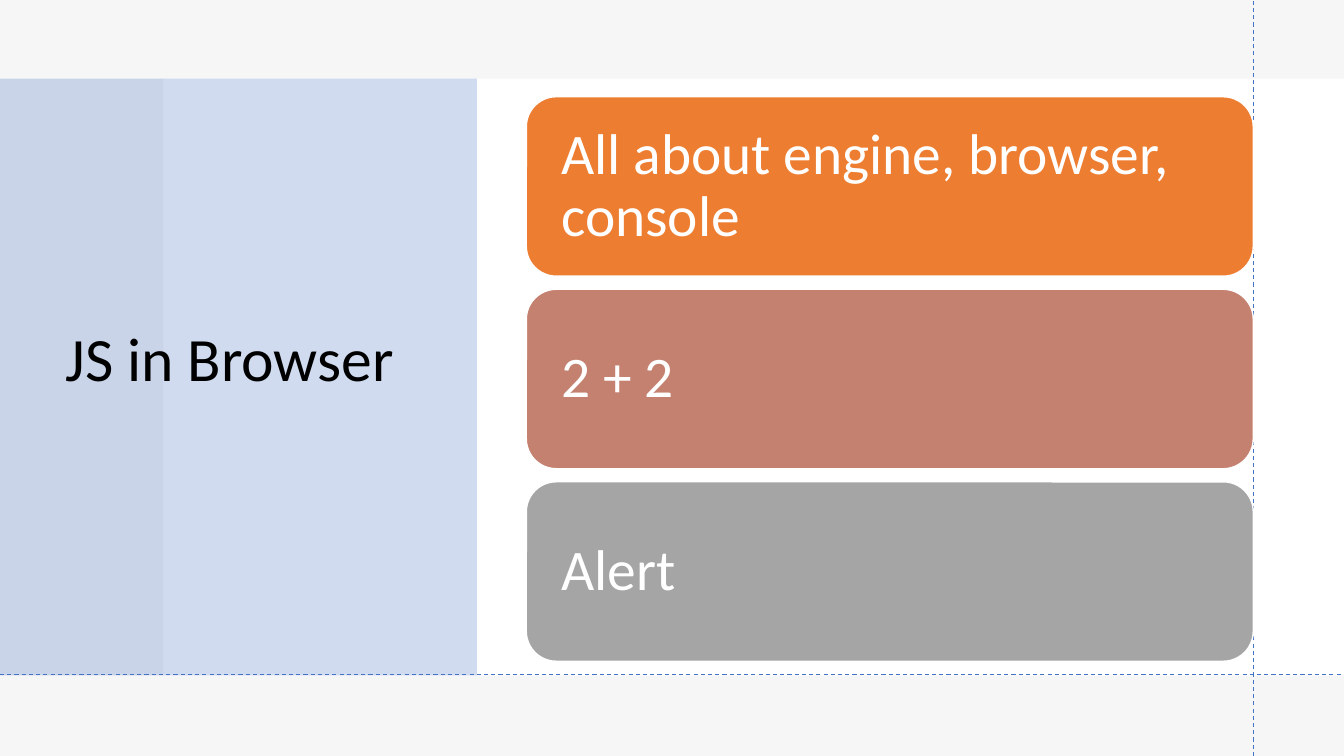
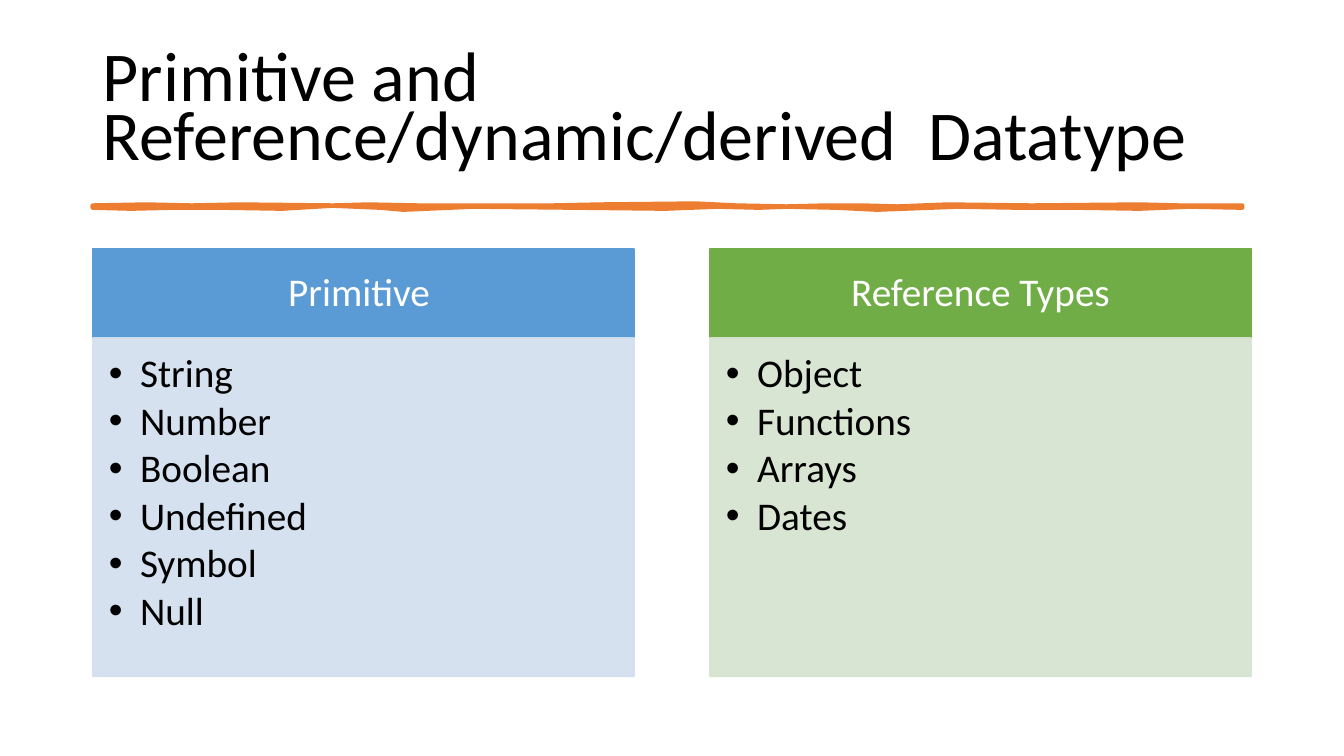
"""Builds two slides on JavaScript: the browser agenda and the two kinds of datatype."""
from dataclasses import dataclass

from lxml import etree
from pptx import Presentation
from pptx.dml.color import RGBColor
from pptx.enum.dml import MSO_LINE
from pptx.enum.shapes import MSO_CONNECTOR, MSO_SHAPE
from pptx.enum.text import MSO_ANCHOR, MSO_AUTO_SIZE, PP_ALIGN
from pptx.oxml.ns import qn
from pptx.util import Inches, Pt

RECT, ROUND = MSO_SHAPE.RECTANGLE, MSO_SHAPE.ROUNDED_RECTANGLE
STRAIGHT, DASH = MSO_CONNECTOR.STRAIGHT, MSO_LINE.DASH
TOP, MIDDLE = MSO_ANCHOR.TOP, MSO_ANCHOR.MIDDLE
LEFT, CENTER = PP_ALIGN.LEFT, PP_ALIGN.CENTER
NO_FIT = MSO_AUTO_SIZE.NONE

WIDTH, HEIGHT = 13.33, 7.5
MARGIN = 0.92
FONT = "Calibri"
WHITE, BLACK, GREY = "FFFFFF", "000000", "E7E6E6"
BLUE, ORANGE = "4472C4", "ED7D31"
TITLE_ONLY, COMPARISON = 5, 4
INSETS = (0.1, 0.05, 0.1, 0.05)


@dataclass
class Card:
    text: str
    color: str


@dataclass
class Column:
    heading: str
    items: list[str]
    color: str
    tint: str


CARDS = [
    Card("All about engine, browser, console", ORANGE),
    Card("2 + 2", "C48170"),
    Card("Alert", "A5A5A5"),
]
COLUMNS = [
    Column("Primitive ", ["String", "Number", "Boolean", "Undefined", "Symbol", "Null"],
           "5B9BD5", "D2DEEF"),
    Column("Reference Types", ["Object", "Functions", "Arrays", "Dates"],
           "70AD47", "D5E3CF"),
]
STROKE_TOP = [
    (0.92, 2.04), (1.45, 2.03), (1.9, 2.04), (2.37, 2.03), (3.31, 2.04), (3.65, 2.03),
    (4.15, 2.04), (5.48, 2.04), (5.95, 2.03), (6.9, 2.02), (7.3, 2.04), (7.8, 2.05),
    (8.2, 2.04), (8.55, 2.04), (8.9, 2.05), (9.4, 2.03), (10.23, 2.04), (11.3, 2.03),
    (11.7, 2.04), (12.32, 2.04),
]
STROKE_BOTTOM = [
    (12.32, 2.06), (11.8, 2.05), (11.3, 2.07), (10.68, 2.06), (10.1, 2.06), (9.5, 2.05),
    (8.7, 2.08), (8.29, 2.06), (7.8, 2.05), (7.53, 2.06), (7.11, 2.05), (6.6, 2.07),
    (5.7, 2.06), (4.7, 2.05), (4.0, 2.08), (3.77, 2.06), (3.3, 2.04), (2.8, 2.07),
    (2.2, 2.06), (1.71, 2.06), (1.3, 2.07), (0.92, 2.06),
]


def rgb(color: str) -> RGBColor:
    return RGBColor.from_string(color)


def paint(sp, fill: str, line: str | None = None, weight: float = 1, alpha: int = 100):
    sp.shadow.inherit = False
    sp.fill.solid()
    sp.fill.fore_color.rgb = rgb(fill)
    if line:
        sp.line.color.rgb = rgb(line)
        sp.line.width = Pt(weight)
    else:
        sp.line.fill.background()
    if alpha < 100:
        for clr in sp.element.spPr.iter(qn("a:srgbClr")):
            etree.SubElement(clr, qn("a:alpha"), val=str(alpha * 1000))


def place(sp, x: float, y: float, w: float, h: float):
    sp.left, sp.top, sp.width, sp.height = (Inches(v) for v in (x, y, w, h))


def add_box(s, kind, x: float, y: float, w: float, h: float, fill: str, **look):
    sp = s.shapes.add_shape(kind, *(Inches(v) for v in (x, y, w, h)))
    paint(sp, fill, **look)
    return sp


def add_guide(s, x1: float, y1: float, x2: float, y2: float):
    line = s.shapes.add_connector(STRAIGHT, *(Inches(v) for v in (x1, y1, x2, y2)))
    line.line.color.rgb = rgb(BLUE)
    line.line.width = Pt(0.75)
    line.line.dash_style = DASH
    etree.SubElement(line.element.spPr, qn("a:effectLst"))


def add_bullet(p, indent: float):
    pPr = p._p.get_or_add_pPr()
    pPr.set("marL", str(Inches(indent)))
    pPr.set("indent", str(-Inches(indent)))
    etree.SubElement(pPr, qn("a:buFont"), typeface="Arial")
    etree.SubElement(pPr, qn("a:buChar"), char="•")


def write(sp, *lines: str, size: float, color: str = BLACK, align=LEFT, anchor=MIDDLE,
          spacing: float = 0.9, after: float = 0, insets=INSETS, bullet: float = 0):
    tf = sp.text_frame
    tf.word_wrap = True
    tf.auto_size = NO_FIT
    tf.vertical_anchor = anchor
    tf.margin_left, tf.margin_top, tf.margin_right, tf.margin_bottom = map(Inches, insets)
    for i, text in enumerate(lines):
        p = tf.add_paragraph() if i else tf.paragraphs[0]
        p.alignment = align
        p.line_spacing = spacing
        p.space_before = Pt(0)
        p.space_after = Pt(after)
        if bullet:
            add_bullet(p, bullet)
        r = p.add_run()
        r.text = text
        r.font.name = FONT
        r.font.size = Pt(size)
        r.font.bold = False
        r.font.color.rgb = rgb(color)


def add_slide(prs, layout: int):
    s = prs.slides.add_slide(prs.slide_layouts[layout])
    s.background.fill.solid()
    s.background.fill.fore_color.rgb = rgb(WHITE)
    return s


def build_browser(prs):
    s = add_slide(prs, TITLE_ONLY)
    band_top, band_height, panel_width = 0.78, 5.92, 4.73
    band_left, card_left, card_width, card_height, card_step = 1.62, 5.22, 7.21, 1.78, 1.91
    add_box(s, RECT, 0, 0, WIDTH, HEIGHT, GREY, alpha=35)
    add_box(s, RECT, band_left, band_top, WIDTH - band_left, band_height, WHITE)
    add_box(s, RECT, 0, band_top, panel_width, band_height, BLUE, alpha=25)

    title = s.shapes.title
    s.shapes.element.append(title.element)
    place(title, 0.55, 0.74, 3.95, 5.69)
    write(title, "JS in Browser", size=44)

    guide_x, guide_y = card_left + card_width, 6.69
    add_guide(s, guide_x, HEIGHT, guide_x, 0)
    add_guide(s, 0, guide_y, WIDTH, guide_y)
    for i, card in enumerate(CARDS):
        sp = add_box(s, ROUND, card_left, 0.96 + i * card_step, card_width, card_height,
                     card.color, line=WHITE)
        write(sp, card.text, size=41, color=WHITE, insets=(0.26,) * 4)


def build_datatypes(prs):
    s = add_slide(prs, COMPARISON)
    place(s.shapes.title, MARGIN, 0.4, 11.5, 1.45)
    write(s.shapes.title, "Primitive and Reference/dynamic/derived  Datatype",
          size=50, spacing=0.7)

    points = [(Inches(x), Inches(y)) for x, y in STROKE_TOP + STROKE_BOTTOM]
    pen = s.shapes.build_freeform(*points[0])
    pen.add_line_segments(points[1:], close=True)
    paint(pen.convert_to_shape(), ORANGE, line=ORANGE, weight=3.25)

    top, width, step, head_height, body_height = 2.47, 5.37, 6.12, 0.88, 3.36
    for i, col in enumerate(COLUMNS):
        x = MARGIN + i * step
        head, body = s.placeholders[2 * i + 1], s.placeholders[2 * i + 2]
        place(head, x, top, width, head_height)
        paint(head, col.color, line=col.color)
        write(head, col.heading, size=28, color=WHITE, align=CENTER,
              insets=(0.22, 0.12, 0.22, 0.12))
        place(body, x, top + head_height, width, body_height)
        paint(body, col.tint, line=col.tint, alpha=90)
        write(body, *col.items, size=28, anchor=TOP, after=3.7,
              insets=(0.16, 0.16, 0.22, 0.24), bullet=0.31)


def main():
    prs = Presentation()
    prs.slide_width, prs.slide_height = Inches(WIDTH), Inches(HEIGHT)
    build_browser(prs)
    build_datatypes(prs)
    prs.save("out.pptx")


if __name__ == "__main__":
    main()
